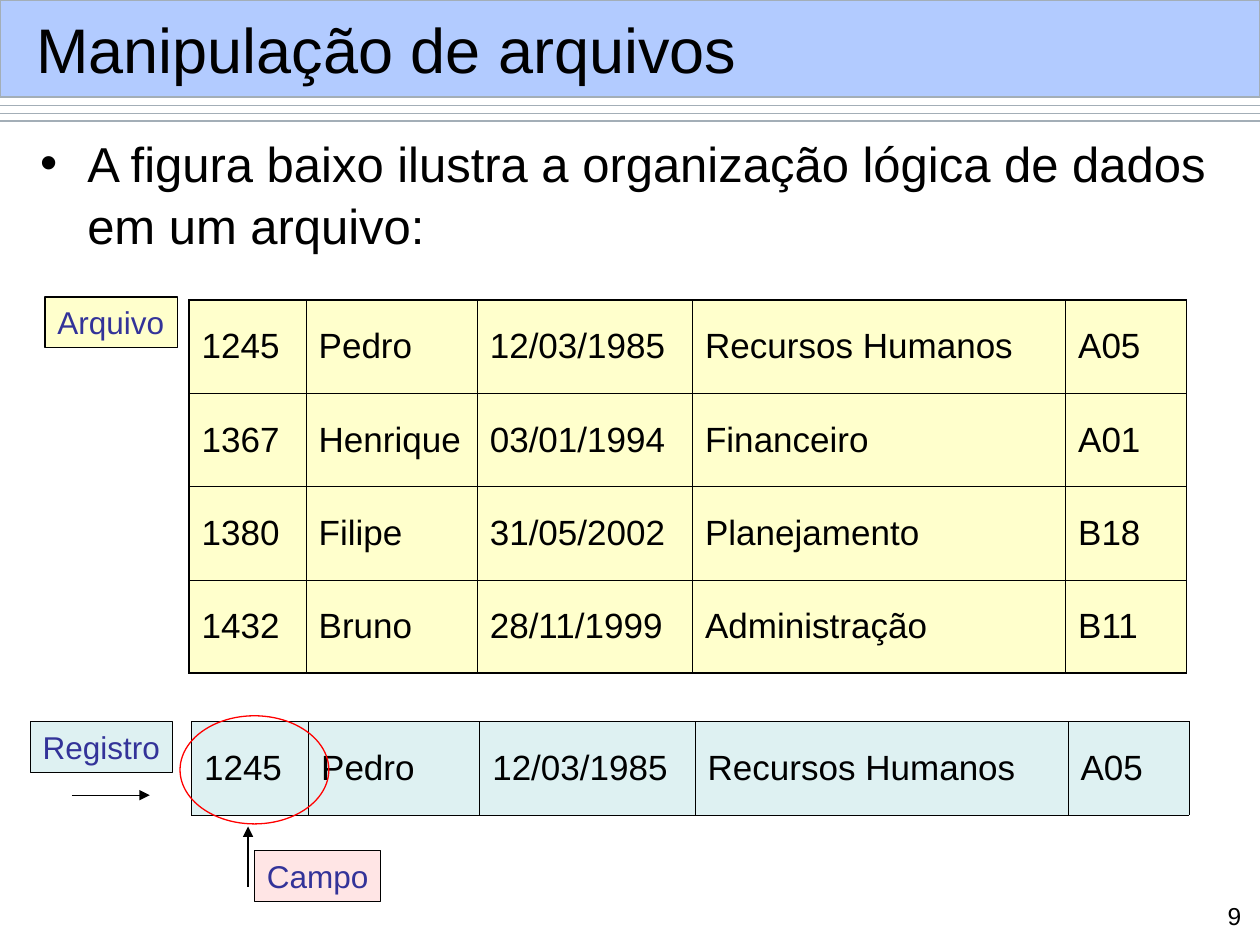
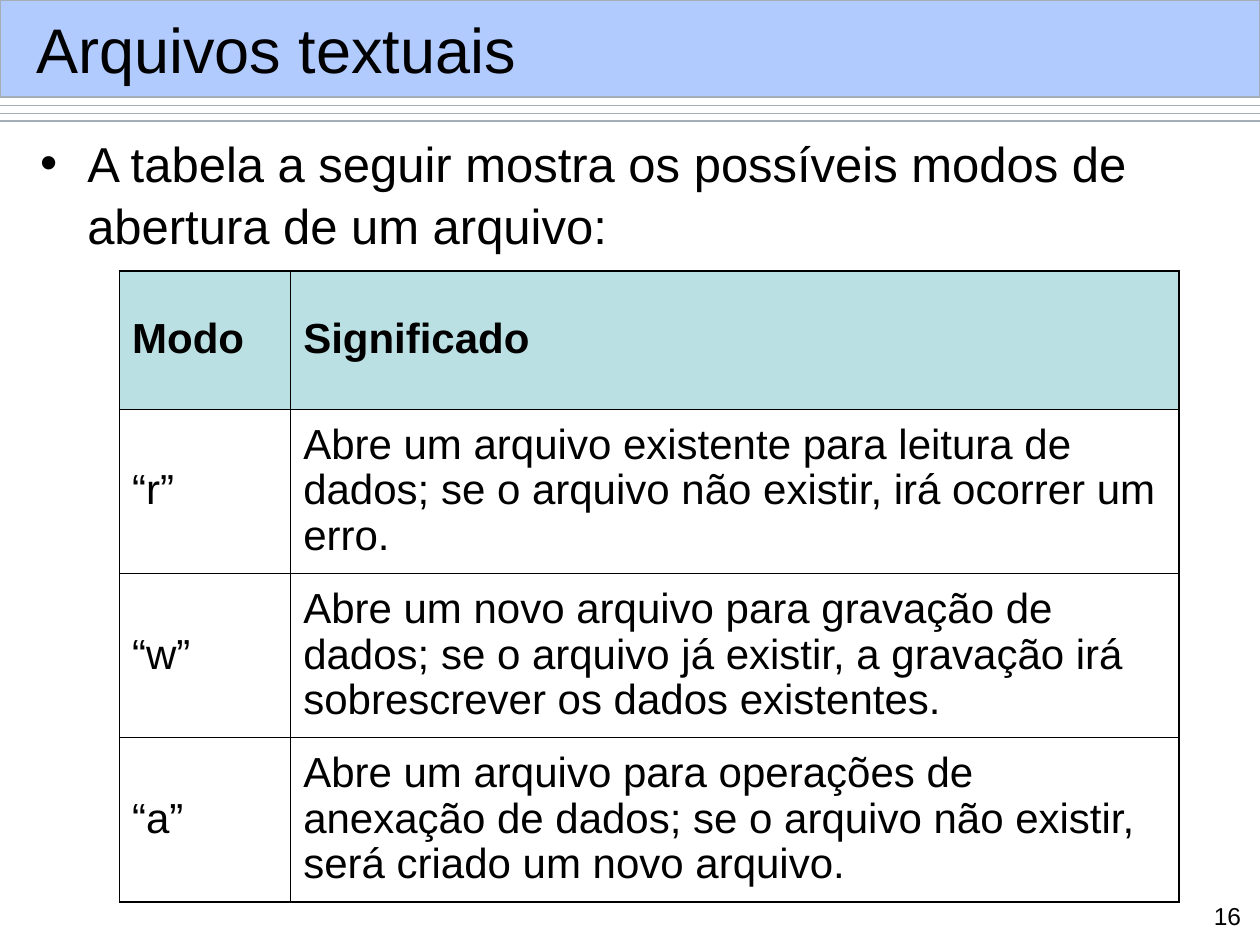
"""Builds two slides on files: how their data is laid out, and the modes to open them."""
from dataclasses import dataclass
from typing import Any, Optional

from lxml.etree import SubElement
from pptx import Presentation
from pptx.dml.color import RGBColor
from pptx.enum.shapes import MSO_CONNECTOR, MSO_SHAPE
from pptx.enum.text import MSO_ANCHOR, PP_ALIGN
from pptx.oxml.ns import qn
from pptx.util import Cm, Pt

STRAIGHT = MSO_CONNECTOR.STRAIGHT
RECT, OVAL = MSO_SHAPE.RECTANGLE, MSO_SHAPE.OVAL
TOP, MIDDLE = MSO_ANCHOR.TOP, MSO_ANCHOR.MIDDLE
LEFT, RIGHT = PP_ALIGN.LEFT, PP_ALIGN.RIGHT

BLACK = RGBColor(0x00, 0x00, 0x00)
BLUE = RGBColor(0x66, 0x99, 0xFF)
GREY = RGBColor(0xA3, 0xAE, 0xB7)
NAVY = RGBColor(0x33, 0x33, 0x99)
RED = RGBColor(0xFF, 0x00, 0x00)
CREAM = RGBColor(0xFF, 0xFF, 0xCC)
ICE = RGBColor(0xDE, 0xF1, 0xF2)
TEAL = RGBColor(0xBB, 0xE0, 0xE3)
PINK = RGBColor(0xFF, 0xE5, 0xE5)

FONT = "Arial"
WIDE, HIGH = 25.4, 19.05
THIN, THICK = 0.45, 1.08
FIELDS = [2.36, 3.45, 4.34, 7.52, 2.44]
STAFF = [
    ["1245", "Pedro", "12/03/1985", "Recursos Humanos", "A05"],
    ["1367", "Henrique", "03/01/1994", "Financeiro", "A01"],
    ["1380", "Filipe", "31/05/2002", "Planejamento", "B18"],
    ["1432", "Bruno", "28/11/1999", "Administração", "B11"],
]
MODES = [
    ["Modo", "Significado"],
    ["“r”", "Abre um arquivo existente para leitura de dados; "
            "se o arquivo não existir, irá ocorrer um erro."],
    ["“w”", "Abre um novo arquivo para gravação de dados; "
            "se o arquivo já existir, a gravação irá sobrescrever os dados existentes."],
    ["“a”", "Abre um arquivo para operações de anexação de dados; "
            "se o arquivo não existir, será criado um novo arquivo."],
]


@dataclass
class Box:
    """Place of an element in centimetres."""
    left: float
    top: float
    width: float
    height: float

    def cm(self) -> list[Cm]:
        """Return the place as lengths."""
        return [Cm(v) for v in (self.left, self.top, self.width, self.height)]


@dataclass
class Label:
    """Boxed name beside a part of the figure."""
    text: str
    box: Box
    fill: RGBColor


@dataclass
class Line:
    """Straight line, with or without an arrowhead."""
    start: tuple[float, float]
    end: tuple[float, float]
    color: RGBColor = BLACK
    arrow: bool = False


@dataclass
class Grid:
    """Table with its sizes, fills and frame."""
    left: float
    top: float
    cols: list[float]
    rows: list[float]
    cells: list[list[str]]
    size: int
    frame: float = THICK
    fill: Optional[RGBColor] = None
    head: Optional[RGBColor] = None
    spacing: float = 1.0


LABELS = [
    Label("Arquivo", Box(0.91, 5.99, 2.67, 1.02), CREAM),
    Label("Registro", Box(0.61, 14.55, 2.87, 1.02), ICE),
    Label("Campo", Box(5.13, 17.15, 2.54, 1.02), PINK),
]
ARROWS = [
    Line((1.45, 16.03), (3.02, 16.03), arrow=True),
    Line((5, 17.88), (5, 16.66), arrow=True),
]
RULES = [Line((0, y), (WIDE, y), GREY) for y in (2.13, 2.29, 2.44)]


def write(frame: Any, text: str, size: int, color: RGBColor = BLACK,
          bold: bool = False, **look: Any) -> Any:
    """Fill a text frame with one paragraph and return it."""
    par = frame.paragraphs[0]
    par.add_run().text = text
    for key, value in {"alignment": LEFT, **look}.items():
        setattr(par, key, value)
    for key, value in {"name": FONT, "size": Pt(size), "bold": bold}.items():
        setattr(par.runs[0].font, key, value)
    par.runs[0].font.color.rgb = color
    return par


def add_text(slide: Any, box: Box, text: str, size: int,
             anchor: Any = TOP, **look: Any) -> Any:
    """Add a wrapped text box and return its paragraph."""
    frame = slide.shapes.add_textbox(*box.cm()).text_frame
    for key, value in {"word_wrap": True, "vertical_anchor": anchor}.items():
        setattr(frame, key, value)
    return write(frame, text, size, **look)


def add_form(slide: Any, kind: Any, box: Box, line: RGBColor,
             fill: Optional[RGBColor] = None) -> Any:
    """Add a flat outlined shape."""
    form = slide.shapes.add_shape(kind, *box.cm())
    form.shadow.inherit = False
    form.line.color.rgb = line
    form.line.width = Pt(0.75)
    if fill is None:
        form.fill.background()
    else:
        form.fill.solid()
        form.fill.fore_color.rgb = fill
    return form


def add_line(slide: Any, line: Line) -> None:
    """Add a straight line."""
    ends = [Cm(v) for v in (*line.start, *line.end)]
    link = slide.shapes.add_connector(STRAIGHT, *ends)
    link.line.color.rgb = line.color
    link.line.width = Pt(0.75)
    props = link._element.spPr
    if line.arrow:
        SubElement(props.find(qn("a:ln")), qn("a:tailEnd"), type="triangle")
    SubElement(props, qn("a:effectLst"))


def add_label(slide: Any, label: Label) -> None:
    """Add a boxed name."""
    frame = add_form(slide, RECT, label.box, BLACK, label.fill).text_frame
    for key, value in {"word_wrap": False, "vertical_anchor": TOP}.items():
        setattr(frame, key, value)
    write(frame, label.text, 18, NAVY)


def add_edge(cell: Any, side: str, width: float) -> None:
    """Draw one side of a cell in black."""
    props = cell._tc.get_or_add_tcPr()
    edge = SubElement(props, qn(f"a:ln{side}"), w=str(Pt(width)))
    fill = SubElement(edge, qn("a:solidFill"))
    SubElement(fill, qn("a:srgbClr"), val=str(BLACK))


def add_grid(slide: Any, grid: Grid) -> None:
    """Add a table with a frame and thin inner lines."""
    box = Box(grid.left, grid.top, sum(grid.cols), sum(grid.rows))
    last_row, last_col = len(grid.rows) - 1, len(grid.cols) - 1
    table = slide.shapes.add_table(last_row + 1, last_col + 1, *box.cm()).table
    for key in ("first_row", "horz_banding"):
        setattr(table, key, False)
    for col, width in zip(table.columns, grid.cols):
        col.width = Cm(width)
    for r, (row, height) in enumerate(zip(table.rows, grid.rows)):
        row.height = Cm(height)
        is_head = r == 0 and grid.head is not None
        fill = grid.head if is_head else grid.fill
        for c, cell in enumerate(row.cells):
            outer = {"L": c == 0, "R": c == last_col, "T": r == 0, "B": r == last_row}
            for side, on_frame in outer.items():
                add_edge(cell, side, grid.frame if on_frame else THIN)
            if fill is None:
                cell.fill.background()
            else:
                cell.fill.solid()
                cell.fill.fore_color.rgb = fill
            cell.vertical_anchor = MIDDLE
            write(cell.text_frame, grid.cells[r][c], grid.size, bold=is_head,
                  line_spacing=grid.spacing)


def add_page(deck: Any, title: str, body: str, number: int) -> Any:
    """Add a slide with its band, rules, title, bullet and number."""
    slide = deck.slides.add_slide(deck.slide_layouts[6])
    for rule in RULES:
        add_line(slide, rule)
    band = add_form(slide, RECT, Box(0, 0, WIDE, 1.96), GREY, BLUE)
    tint = band._element.spPr.find(qn("a:solidFill"))[0]
    SubElement(tint, qn("a:alpha"), val="50000")
    add_text(slide, Box(0.48, 0.23, 24.49, 1.5), title, 36, MIDDLE)
    point = add_text(slide, Box(0.56, 2.51, 24.23, 15.85), body, 28, line_spacing=1.05)
    props = point._p.get_or_add_pPr()
    for key, value in {"marL": Cm(0.95), "indent": Cm(-0.95)}.items():
        props.set(key, str(value))
    SubElement(props, qn("a:buFont"), typeface=FONT)
    SubElement(props, qn("a:buChar"), char="•")
    add_text(slide, Box(24.05, 18.03, 1.22, 0.81), str(number), 14, alignment=RIGHT)
    return slide


def main() -> None:
    """Build and save both slides."""
    deck = Presentation()
    deck.slide_width, deck.slide_height = Cm(WIDE), Cm(HIGH)

    slide = add_page(deck, "Manipulação de arquivos",
                     "A figura baixo ilustra a organização lógica de dados em um arquivo:", 9)
    add_grid(slide, Grid(3.81, 6.05, FIELDS, [1.88] * 4, STAFF, 20, fill=CREAM))
    add_grid(slide, Grid(3.86, 14.55, FIELDS, [1.88], STAFF[:1], 20, THIN, ICE))
    for label in LABELS:
        add_label(slide, label)
    for arrow in ARROWS:
        add_line(slide, arrow)
    add_form(slide, OVAL, Box(3.63, 14.43, 3, 2.18), RED)

    slide = add_page(deck, "Arquivos textuais",
                     "A tabela a seguir mostra os possíveis modos de abertura de um arquivo:", 16)
    add_grid(slide, Grid(2.41, 5.46, [3.45, 17.91], [2.79] + [3.31] * 3, MODES, 24,
                         head=TEAL, spacing=0.97))
    deck.save("out.pptx")


if __name__ == "__main__":
    main()
